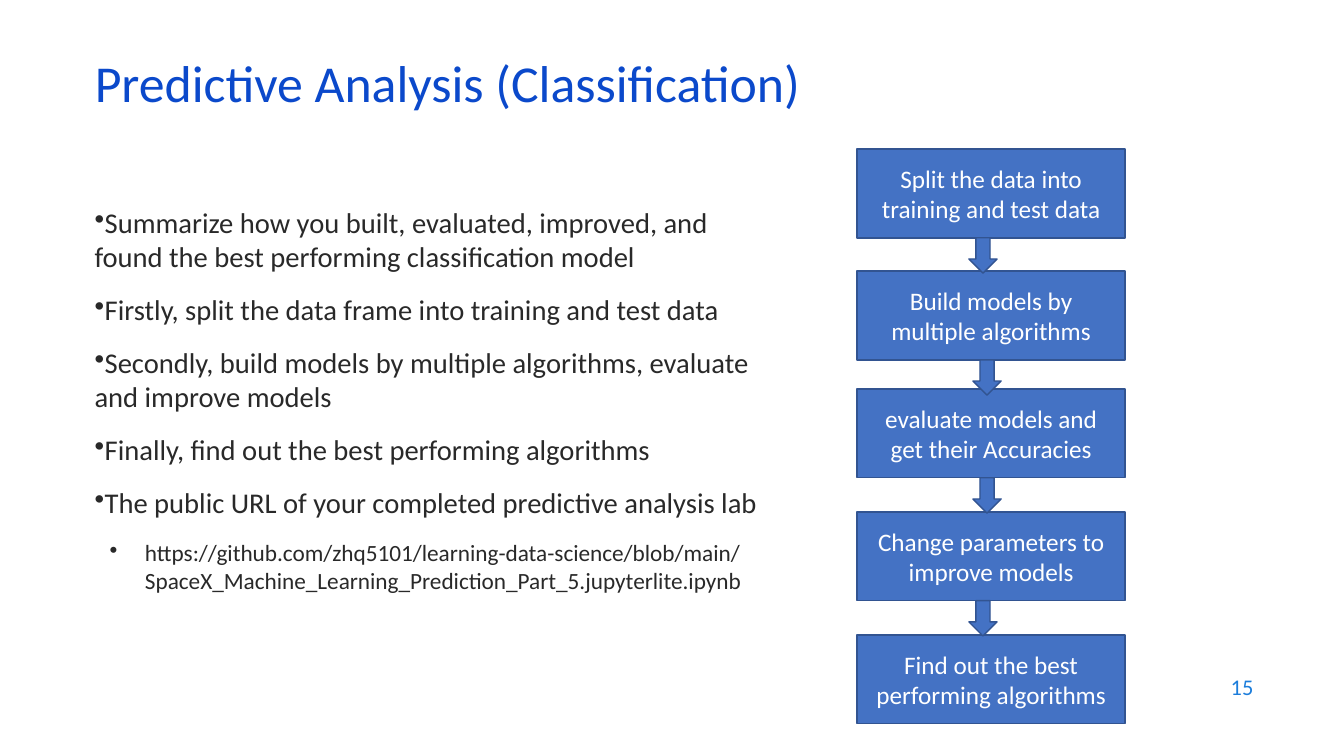
"""Build the slide on predictive analysis by classification."""
import pptx
import pptx.dml.color
import pptx.enum.shapes
import pptx.enum.text
import pptx.oxml.ns
import pptx.util
from lxml import etree

ALIGN = pptx.enum.text.PP_ALIGN
ANCHOR = pptx.enum.text.MSO_ANCHOR
SHAPE = pptx.enum.shapes.MSO_SHAPE
hex_color = pptx.dml.color.RGBColor.from_string

deck = pptx.Presentation()
deck.slide_width = pptx.util.Inches(13.33)
deck.slide_height = pptx.util.Inches(7.5)
slide = deck.slides.add_slide(deck.slide_layouts[5])


def area(left, top, width, height):
    """Turn percentages of the slide's size into lengths."""
    across, down = deck.slide_width / 100, deck.slide_height / 100
    return [int(left * across), int(top * down), int(width * across), int(height * down)]


def write(frame, text, size, color, align=ALIGN.LEFT, anchor=ANCHOR.MIDDLE,
          spacing=1.0, before=0, margin=0, indent=0, bullet=None):
    """Add one formatted paragraph, reusing the first while it is empty."""
    frame.word_wrap = True
    frame.auto_size = pptx.enum.text.MSO_AUTO_SIZE.NONE
    frame.vertical_anchor = anchor
    paragraph = frame.paragraphs[0] if not frame.text else frame.add_paragraph()
    if bullet:
        properties = paragraph._p.get_or_add_pPr()
        properties.set("marL", str(pptx.util.Inches(margin)))
        properties.set("indent", str(pptx.util.Inches(indent)))
        mark = etree.SubElement(properties, pptx.oxml.ns.qn("a:buChar"))
        mark.set("char", bullet)
    paragraph.alignment = align
    paragraph.line_spacing = spacing
    paragraph.space_before = pptx.util.Pt(before)
    run = paragraph.add_run()
    run.text = text
    run.font.name = "Calibri"
    run.font.size = pptx.util.Pt(size)
    run.font.color.rgb = hex_color(color)


title = slide.shapes.title
title.left, title.top, title.width, title.height = area(6.3, 7.87, 86.27, 8)
write(title.text_frame, "Predictive Analysis (Classification)", 37, "0B49CB", spacing=0.7)

page_number = slide.shapes.add_textbox(*area(71.49, 87.87, 22.51, 5.87))
write(page_number.text_frame, "15", 16, "1C7DDB", align=ALIGN.RIGHT)

summary = slide.shapes.add_textbox(*area(6.3, 26.67, 51.84, 63.47)).text_frame
points = [
    "Summarize how you built, evaluated, improved, and found the best performing classification model",
    "Firstly, split the data frame into training and test data",
    "Secondly, build models by multiple algorithms, evaluate and improve models",
    "Finally, find out the best performing algorithms",
    "The public URL of your completed predictive analysis lab",
]
for number, point in enumerate(points):
    write(summary, point, 20.4, "292929", anchor=ANCHOR.TOP, spacing=0.98,
          before=14 if number else 0, bullet="•")
lab_url = ("https://github.com/zhq5101/learning-data-science/blob/main/"
           "SpaceX_Machine_Learning_Prediction_Part_5.jupyterlite.ipynb")
write(summary, lab_url, 16.6, "292929", anchor=ANCHOR.TOP, spacing=0.98, before=14,
      margin=0.5, indent=-0.35, bullet="•")

step_height = 11.73
steps = [
    (19.73, "Split the data into training and test data"),
    (35.87, "Build models by multiple algorithms"),
    (51.47, "evaluate models and get their Accuracies"),
    (67.73, "Change parameters to improve models"),
    (84, "Find out the best performing algorithms"),
]
arrow_lefts = [72.09, 72.39, 72.39, 72.09]
flow = [(SHAPE.RECTANGLE, (63.77, top, 19.95, step_height), label) for top, label in steps]
flow += [(SHAPE.DOWN_ARROW, (left, top + step_height, 2.1, 4.67), "")
         for left, (top, label) in zip(arrow_lefts, steps)]
for kind, place, label in flow:
    part = slide.shapes.add_shape(kind, *area(*place))
    part.shadow.inherit = False
    part.fill.solid()
    part.fill.fore_color.rgb = hex_color("4472C4")
    part.line.color.rgb = hex_color("325491")
    part.line.width = pptx.util.Pt(1)
    if label:
        write(part.text_frame, label, 18, "FFFFFF", align=ALIGN.CENTER)

deck.save("out.pptx")
